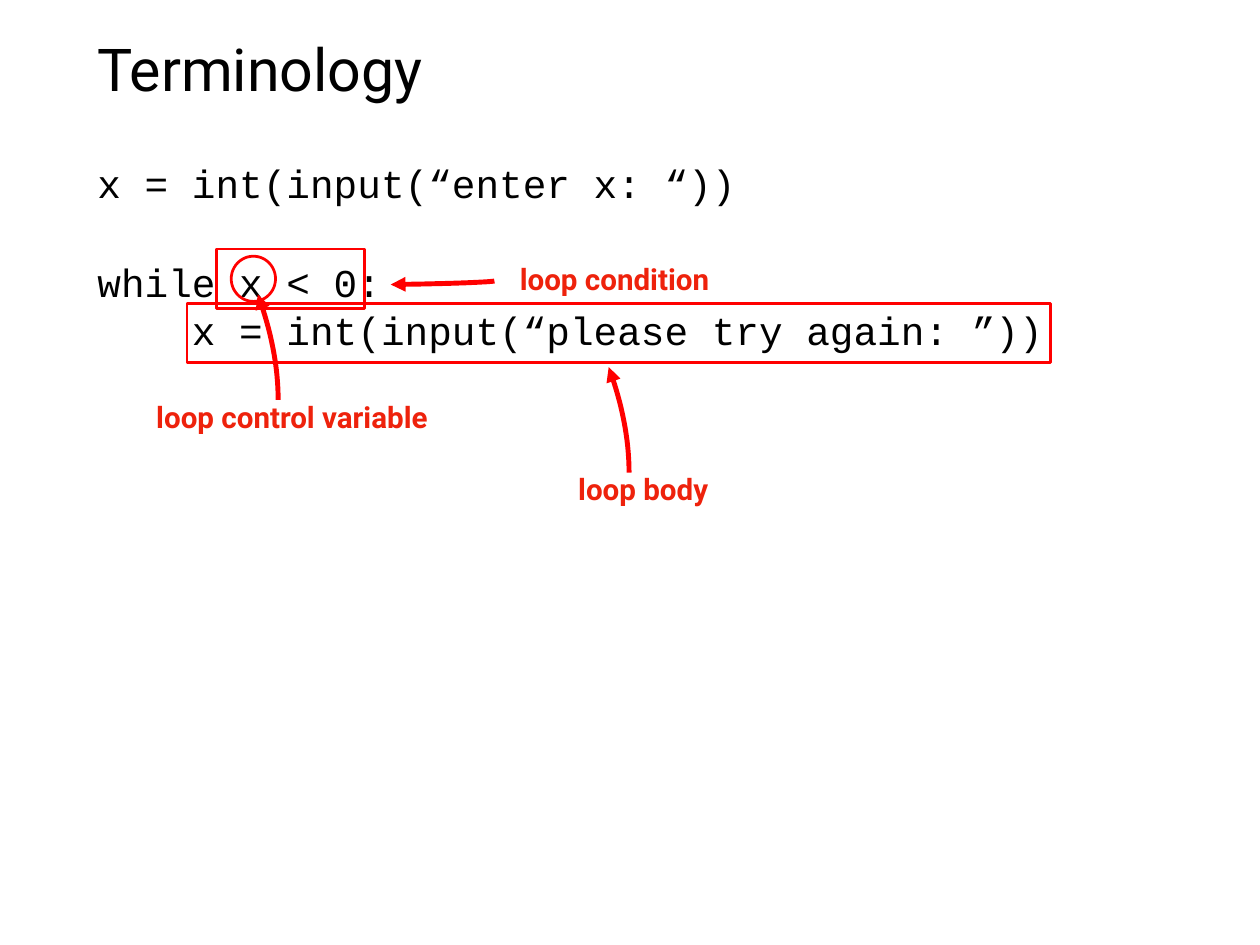
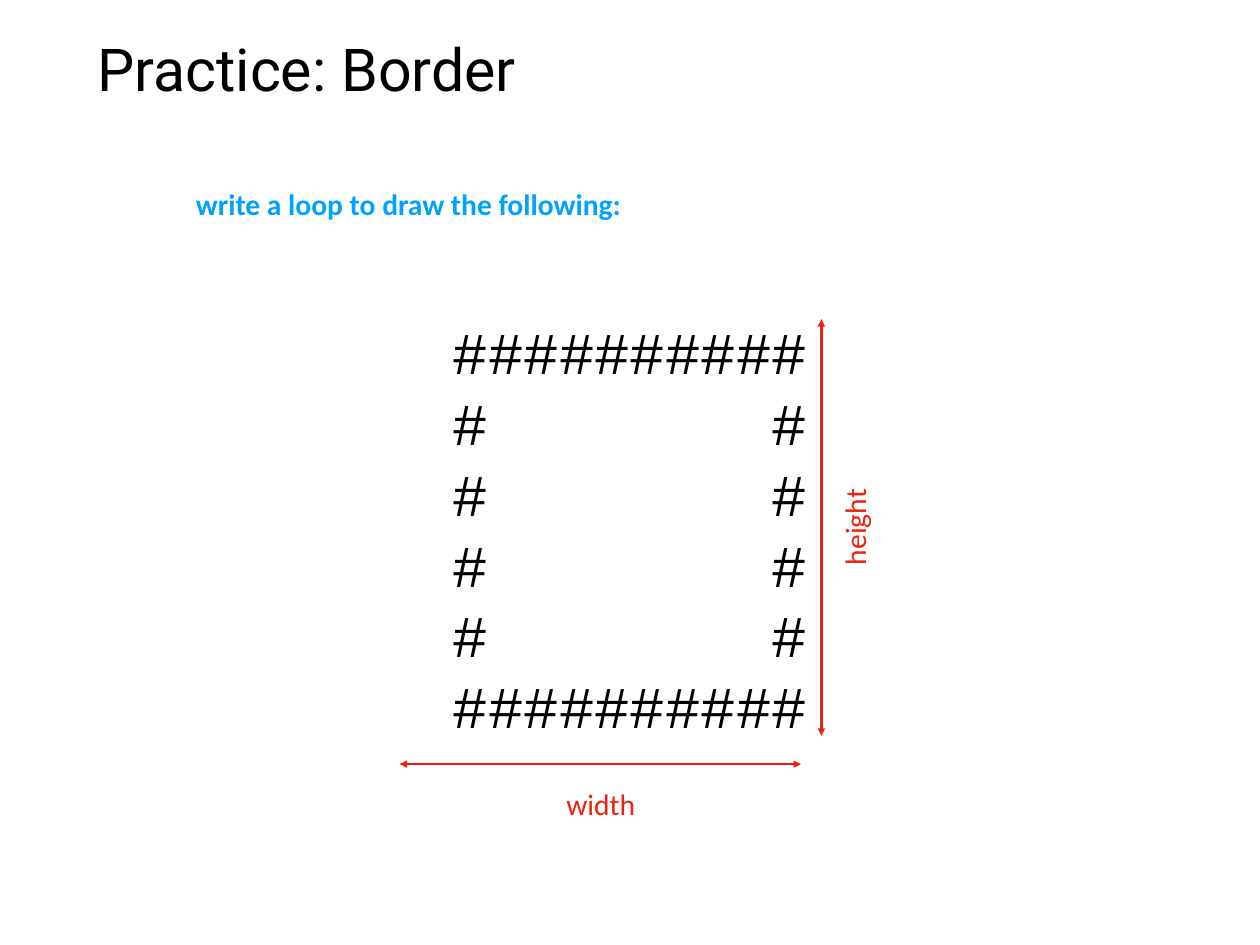
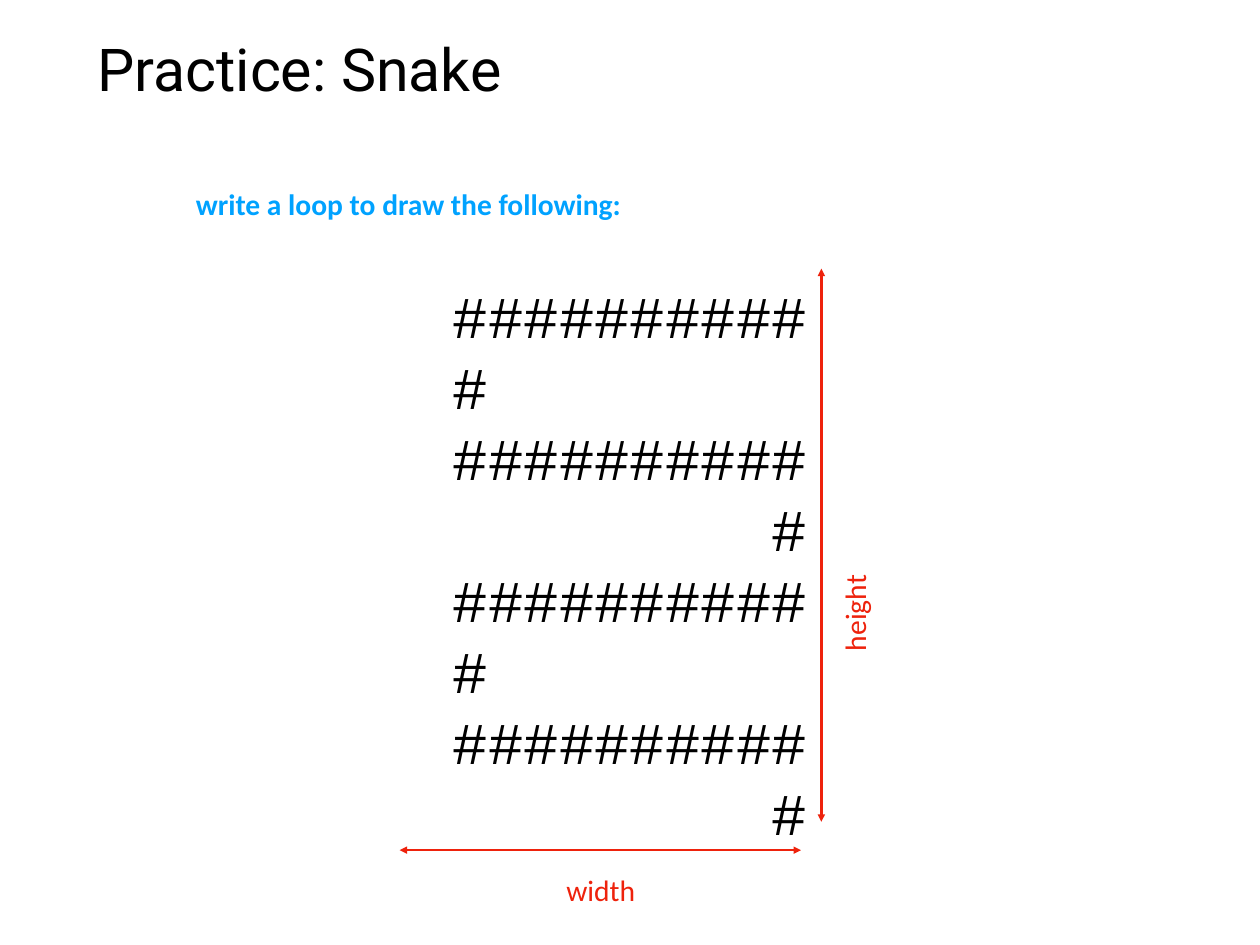
from lxml.etree import SubElement
from pptx import Presentation
from pptx.dml.color import RGBColor
from pptx.enum.shapes import MSO_CONNECTOR, MSO_SHAPE
from pptx.enum.text import MSO_ANCHOR, PP_ALIGN
from pptx.oxml.ns import qn
from pptx.util import Pt

PX = 9144
WIDE, HIGH = 1422, 1066
INSET = 6
BLACK = RGBColor(0x00, 0x00, 0x00)
RED = RGBColor(0xFF, 0x00, 0x00)
BRICK = RGBColor(0xEE, 0x22, 0x0C)
BLUE = RGBColor(0x00, 0xA2, 0xFF)
SANS, MONO, PLAIN = "Roboto", "Courier New", "Calibri"
TITLE = (104, 27, 1214, 99)
BODY = (104, 174, 1214, 404)
TASK = (168, 204, 586, 51)
STEPS = 16
FULL = "#" * 10
SIDES = "#        #"
LEFT = "#"
RIGHT = "         #"


def emu(*sizes):
    """Turn px lengths into EMU."""
    return [round(size * PX) for size in sizes]


def write(slide, box, lines, font, size, color, bold=False, wrap=False,
          align=PP_ALIGN.LEFT, anchor=MSO_ANCHOR.MIDDLE, gap=0):
    """Place lines of text, one paragraph each, in a box."""
    shape = slide.shapes.add_textbox(*emu(*box))
    frame = shape.text_frame
    frame.word_wrap = wrap
    frame.vertical_anchor = anchor
    frame.margin_left = frame.margin_right = INSET * PX
    frame.margin_top = frame.margin_bottom = INSET * PX
    for index, line in enumerate(lines):
        para = frame.add_paragraph() if index else frame.paragraphs[0]
        para.text = line
        para.alignment = align
        if index:
            para.space_before = Pt(gap)
        for run in para.runs:
            run.font.name = font
            run.font.size = Pt(size)
            run.font.bold = bold
            run.font.color.rgb = color
    return shape


def label(slide, box, text, font=PLAIN, color=BRICK, bold=False):
    """Place a centred one-line label."""
    return write(slide, box, [text], font, 24, color, bold, align=PP_ALIGN.CENTER)


def stroke(shape, color, width, *ends):
    """Style a line and give the named ends a triangle."""
    shape.line.color.rgb = color
    shape.line.width = Pt(width)
    for end in ends:
        SubElement(shape.line._get_or_add_ln(), qn(f"a:{end}"), type="triangle")


def frame_box(slide, kind, box):
    """Draw an unfilled red outline."""
    shape = slide.shapes.add_shape(kind, *emu(*box))
    shape.shadow.inherit = False
    shape.fill.background()
    stroke(shape, RED, 2.25)


def curve(slide, *knots):
    """Draw a red cubic curve with an arrowhead at its last knot."""
    points = []
    for step in range(STEPS + 1):
        t = step / STEPS
        parts = ((1 - t) ** 3, 3 * t * (1 - t) ** 2, 3 * t * t * (1 - t), t ** 3)
        points.append(emu(*(sum(w * k[axis] for w, k in zip(parts, knots))
                            for axis in (0, 1))))
    path = slide.shapes.build_freeform(*points[0])
    path.add_line_segments(points[1:], close=False)
    shape = path.convert_to_shape()
    shape.shadow.inherit = False
    shape.fill.background()
    stroke(shape, RED, 4, "tailEnd")


def span(slide, *ends):
    """Draw a straight arrow with two heads."""
    line = slide.shapes.add_connector(MSO_CONNECTOR.STRAIGHT, *emu(*ends))
    stroke(line, BRICK, 2, "headEnd", "tailEnd")
    SubElement(line._element.spPr, qn("a:effectLst"))


def start(deck, title):
    """Add a blank slide with its title."""
    slide = deck.slides.add_slide(deck.slide_layouts[6])
    write(slide, TITLE, [title], SANS, 48, BLACK, wrap=True)
    return slide


def terms(slide, box):
    """Show the loop code with its parts marked."""
    left, top = box[:2]
    code = ["x = int(input(“enter x: “))",
            "while x < 0:\n    x = int(input(“please try again: ”))"]
    write(slide, box, code, MONO, 32, BLACK, wrap=True,
          anchor=MSO_ANCHOR.TOP, gap=42)
    for x, y, width, text in ((469, 115, 241, "loop condition"),
                              (537, 352, 170, "loop body"),
                              (56, 271, 339, "loop control variable")):
        label(slide, (left + x, top + y, width, 51), text, SANS, bold=True)
    for kind, x, y, width, height in ((MSO_SHAPE.RECTANGLE, 140, 107, 167, 67),
                                      (MSO_SHAPE.RECTANGLE, 107, 168, 975, 67),
                                      (MSO_SHAPE.OVAL, 157, 115, 50, 51)):
        frame_box(slide, kind, (left + x, top + y, width, height))
    x, y = left + 454, top + 143
    curve(slide, (x, y), (x - 3, y + 1), (x - 42, y + 3), (x - 117, y + 4))
    for x, y in ((left + 606, top + 359), (left + 210, top + 277)):
        curve(slide, (x, y), (x, y - 38), (x - 8, y - 78), (x - 23, y - 119))


def drill(slide, box, top, rows):
    """Show a drawing task with its width and height arrows."""
    left, upper, width, height = box
    right, lower = left + width, upper + height
    base, reach = lower + 32, width - 23
    label(slide, TASK, "write a loop to draw the following:", color=BLUE, bold=True)
    write(slide, (left + 54, top, 430, 80 * len(rows) + 11), rows, MONO, 48, BLACK)
    span(slide, left, base, left + reach, base)
    span(slide, right, upper, right, lower)
    label(slide, (left + reach / 2 - 49, base + 19, 99, 51), "width")
    side = label(slide, (right - 19, lower - 261, 112, 51), "height")
    side.rotation = 270


def main():
    """Build and save the deck."""
    deck = Presentation()
    deck.slide_width, deck.slide_height = emu(WIDE, HIGH)
    terms(start(deck, "Terminology"), BODY)
    drill(start(deck, "Practice: Border"), (451, 360, 476, 470), 350,
          [FULL] + [SIDES] * 4 + [FULL])
    drill(start(deck, "Practice: Snake"), (451, 303, 476, 624), 310,
          [FULL, LEFT, FULL, RIGHT] * 2)
    deck.save("out.pptx")


if __name__ == "__main__":
    main()
